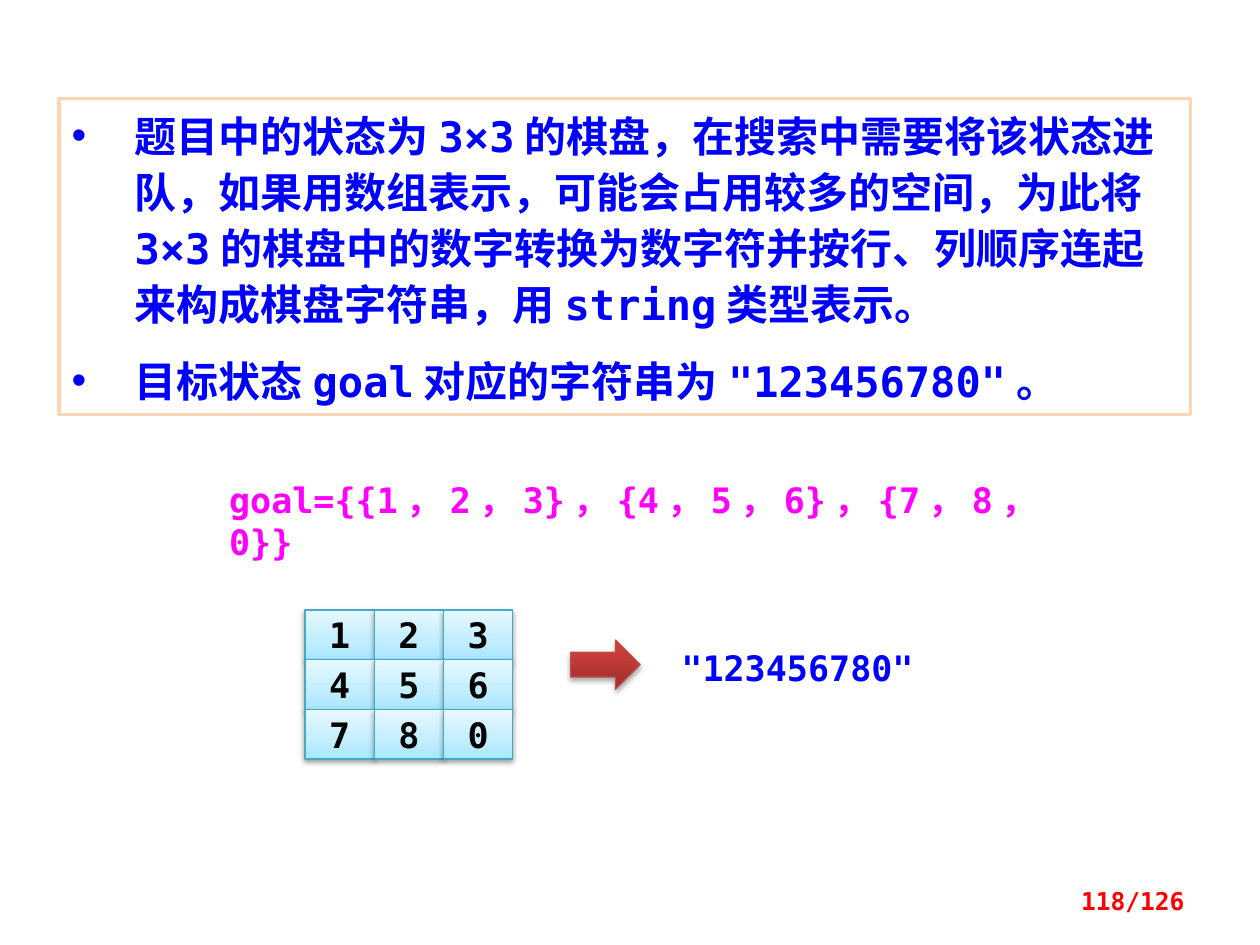
from copy import deepcopy

from lxml.etree import SubElement
from pptx import Presentation
from pptx.dml.color import RGBColor
from pptx.enum.shapes import MSO_SHAPE as Shape
from pptx.enum.text import MSO_ANCHOR as Anchor, PP_ALIGN as Align
from pptx.oxml.ns import qn
from pptx.util import Inches, Pt

FONT = "DejaVu Sans Mono"
COLORS = {
    "white": "FFFFFF", "black": "000000", "blue": "0000FF",
    "magenta": "FF00FF", "red": "FF0000", "frame": "FCD5B5",
    "tile_line": "46AAC5", "arrow_line": "BF4C48",
}
# Gradient stops from bottom to top: position, colour
TILE_STOPS = [(0, "A7E6FF"), (0.35, "C1EDFF"), (1, "E7F8FF")]
ARROW_STOPS = [(0, "9C2F2D"), (0.8, "CB3E3A"), (1, "CE3B37")]

POINTS = [
    "题目中的状态为3×3的棋盘，在搜索中需要将该状态进队，如果用数组表示，"
    "可能会占用较多的空间，为此将3×3的棋盘中的数字转换为数字符并按行、列顺序"
    "连起来构成棋盘字符串，用string类型表示。",
    '目标状态goal对应的字符串为"123456780"。',
]
BOARD = "123456780"


def rgb(name):
    return RGBColor.from_string(COLORS[name])


def add_run(paragraph, text, size, color):
    run = paragraph.add_run()
    run.text = text
    run.font.name = FONT
    run.font.size = Pt(size)
    run.font.bold = True
    run.font.color.rgb = rgb(color)


def add_shape(slide, kind, box, line, line_width):
    shape = slide.shapes.add_shape(kind, *map(Inches, box))
    shape.shadow.inherit = False
    shape.line.color.rgb = rgb(line)
    shape.line.width = Pt(line_width)
    return shape


def add_raised_shape(slide, kind, box, line, stops, opacity, distance):
    """Shape with a vertical gradient and a soft shadow below it."""
    shape = add_shape(slide, kind, box, line, 0.75)
    shape.fill.gradient()
    shape.fill.gradient_angle = 90
    properties = shape._element.spPr
    stop_list = properties.find(f".//{qn('a:gsLst')}")
    stop_list.append(deepcopy(stop_list[-1]))
    for stop, (position, color) in zip(shape.fill.gradient_stops, stops):
        stop.position = position
        stop.color.rgb = RGBColor.from_string(color)

    shadow = SubElement(properties.find(qn("a:effectLst")), qn("a:outerShdw"),
                        blurRad=str(Pt(3.1)), dist=str(Pt(distance)),
                        dir="5400000", rotWithShape="0")
    tint = SubElement(shadow, qn("a:srgbClr"), val=COLORS["black"])
    SubElement(tint, qn("a:alpha"), val=str(opacity * 1000))
    return shape


def add_label(slide, box, text, size, color, align=Align.LEFT, anchor=Anchor.TOP):
    frame = slide.shapes.add_textbox(*map(Inches, box)).text_frame
    frame.word_wrap = True
    frame.vertical_anchor = anchor
    frame.paragraphs[0].alignment = align
    add_run(frame.paragraphs[0], text, size, color)


def add_bullet_panel(slide, box, points):
    panel = add_shape(slide, Shape.RECTANGLE, box, "frame", 2)
    panel.fill.solid()
    panel.fill.fore_color.rgb = rgb("white")
    frame = panel.text_frame
    frame.vertical_anchor = Anchor.TOP
    for index, point in enumerate(points):
        paragraph = frame.add_paragraph() if index else frame.paragraphs[0]
        paragraph.alignment = Align.LEFT
        paragraph.line_spacing = Pt(32)
        paragraph.space_before = Pt(12 if index else 0)
        layout = paragraph._p.get_or_add_pPr()
        layout.set("marL", str(Inches(0.5)))
        layout.set("indent", str(Inches(-0.5)))
        SubElement(layout, qn("a:buFont"), typeface="Arial")
        SubElement(layout, qn("a:buChar"), char="•")
        add_run(paragraph, point, 24, "blue")


def add_board(slide, left, top, digits, columns=3):
    column_step, row_step = 0.55, 0.395
    for index, digit in enumerate(digits):
        row, column = divmod(index, columns)
        box = (left + column * column_step, top + row * row_step,
               column_step, row_step)
        tile = add_raised_shape(slide, Shape.RECTANGLE, box, "tile_line",
                                TILE_STOPS, opacity=38, distance=1.6)
        tile.text_frame.vertical_anchor = Anchor.MIDDLE
        paragraph = tile.text_frame.paragraphs[0]
        paragraph.alignment = Align.CENTER
        paragraph.line_spacing = Pt(24)
        add_run(paragraph, digit, 20, "black")


def main():
    deck = Presentation()
    deck.slide_width, deck.slide_height = Inches(10), Inches(7.5)
    slide = deck.slides.add_slide(deck.slide_layouts[6])

    # Explanation of the state encoding
    add_bullet_panel(slide, (0.47, 0.78, 8.98, 2.51), POINTS)

    # Goal array, its board and the resulting string
    add_label(slide, (1.72, 3.75, 6.64, 0.44),
              "goal={{1，2，3}，{4，5，6}，{7，8，0}}", 20, "magenta")
    add_board(slide, 2.42, 4.84, BOARD)
    add_raised_shape(slide, Shape.RIGHT_ARROW, (4.53, 5.08, 0.55, 0.39),
                     "arrow_line", ARROW_STOPS, opacity=35, distance=1.8)
    add_label(slide, (5.31, 5.08, 2.11, 0.44), f'"{BOARD}"', 20, "blue")

    # Page number
    add_label(slide, (7.17, 6.95, 2.33, 0.4), "118/126", 14, "red",
              Align.RIGHT, Anchor.MIDDLE)

    deck.save("out.pptx")


if __name__ == "__main__":
    main()
